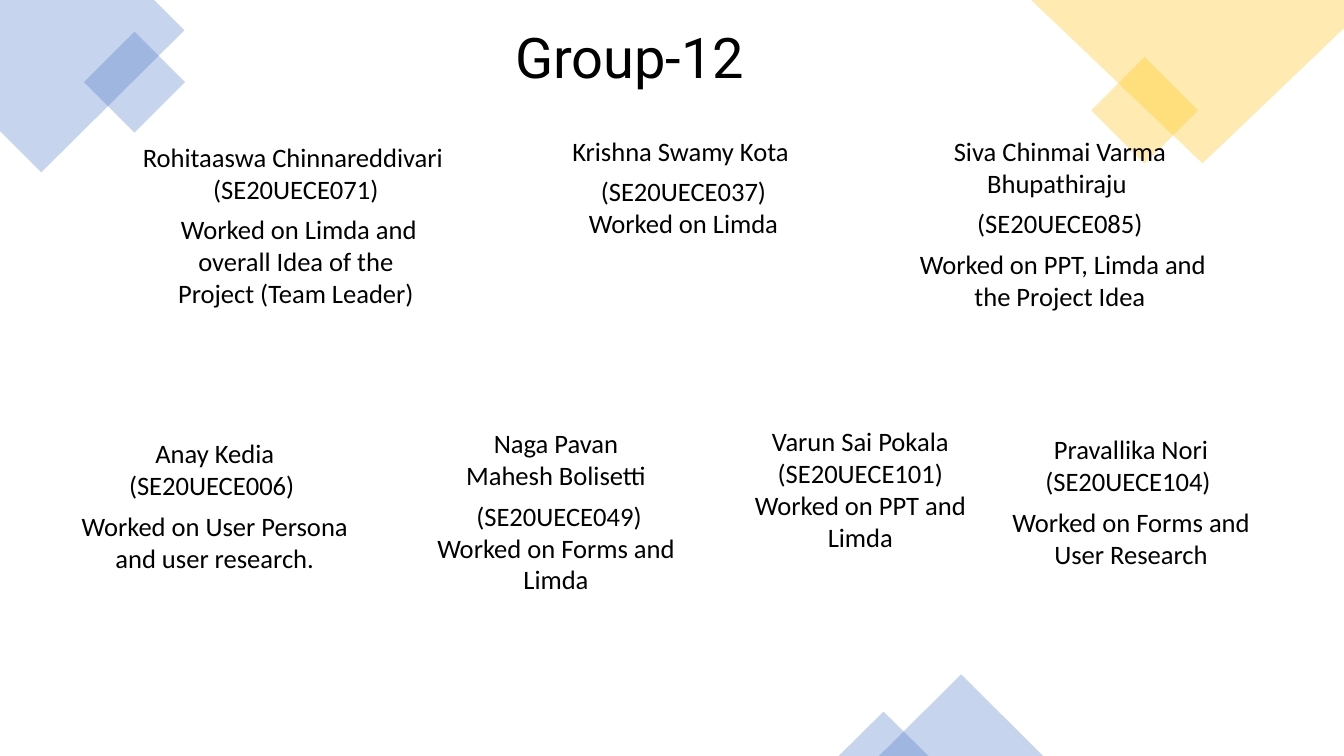
import pptx
import pptx.util
import pptx.dml.color
import pptx.enum.shapes
import pptx.enum.text
import lxml.etree

SHAPES = pptx.enum.shapes.MSO_SHAPE
THEME = {
    "blue": "4472C4", "yellow": "FFC000", "text": "000000", "alpha": 30,
    "title": {"name": "Roboto", "size": pptx.util.Pt(40)},
    "body": {"name": "Calibri", "size": pptx.util.Pt(19)},
}
COLUMNS, ROWS = 133.33, 75  # square grid cells, a tenth of an inch each
CELL = pptx.util.Inches(0.1)
NBSP = chr(160)  # space that keeps two words on one line

presentation = pptx.Presentation()
presentation.slide_width = round(COLUMNS * CELL)
presentation.slide_height = ROWS * CELL
slide = presentation.slides.add_slide(presentation.slide_layouts[5])


def tint(shape, color):
    """Fill a decoration with a see-through colour and no outline."""
    shape.shadow.inherit = False
    shape.line.fill.background()
    shape.fill.solid()
    shape.fill.fore_color.rgb = pptx.dml.color.RGBColor.from_string(THEME[color])
    color_node = shape.element.spPr.find(".//" + pptx.oxml.ns.qn("a:srgbClr"))
    alpha = lxml.etree.SubElement(color_node, pptx.oxml.ns.qn("a:alpha"))
    alpha.set("val", str(THEME["alpha"] * 1000))


def write(shape, box, paragraphs, font, space_after):
    """Place a text shape and fill it with centred paragraphs."""
    shape.left, shape.top, shape.width, shape.height = [round(v * CELL) for v in box]
    frame = shape.text_frame
    frame.text = "\n".join(paragraphs)
    frame_format = {
        "word_wrap": True,
        "vertical_anchor": pptx.enum.text.MSO_ANCHOR.TOP,
        "auto_size": pptx.enum.text.MSO_AUTO_SIZE.SHAPE_TO_FIT_TEXT,
    }
    for name, value in frame_format.items():
        setattr(frame, name, value)
    for paragraph in frame.paragraphs:
        paragraph.alignment = pptx.enum.text.PP_ALIGN.CENTER
        paragraph.space_before = pptx.util.Pt(0)
        paragraph.space_after = pptx.util.Pt(space_after)
        for run in paragraph.runs:
            for name, value in font.items():
                setattr(run.font, name, value)
            run.font.color.rgb = pptx.dml.color.RGBColor.from_string(THEME["text"])


# Large corner pieces, cut off by the slide's edges
corners = [
    ("blue", [(0, 0), (15.3, 0), (18.3, 3), (4.1, 17.1), (0, 13)]),
    ("yellow", [(102.3, 0), (COLUMNS, 0), (COLUMNS, 2.8), (119.3, 16.2)]),
]
for color, points in corners:
    outline = [(round(x * CELL), round(y * CELL)) for x, y in points]
    builder = slide.shapes.build_freeform(*outline[0])
    builder.add_line_segments(outline[1:], close=True)
    tint(builder.convert_to_shape(), color)

# Small squares on their corners, and triangles along the bottom edge
decorations = [
    (SHAPES.RECTANGLE, "blue", 315, (9.8, 4.6, 7.1, 7.1)),
    (SHAPES.RECTANGLE, "yellow", 315, (109.8, 7.2, 7.5, 7.5)),
    (SHAPES.ISOSCELES_TRIANGLE, "blue", 0, (87.2, ROWS - 8.1, 16.3, 8.1)),
    (SHAPES.ISOSCELES_TRIANGLE, "blue", 0, (83.2, ROWS - 4.4, 8.9, 4.4)),
]
for kind, color, rotation, box in decorations:
    shape = slide.shapes.add_shape(kind, *[round(v * CELL) for v in box])
    shape.rotation = rotation
    tint(shape, color)

# Group members, three above and four below
members = [
    ((13, 13.5, 32.7, 17.8),
     [f"Rohitaaswa{NBSP}Chinnareddivari{NBSP}(SE20UECE071)",
      f"{NBSP}Worked on Limda and overall Idea of the Project{NBSP}(Team Leader)"]),
    ((54.4, 12.9, 26.8, 11.4),
     [f"Krishna Swamy Kota{NBSP}", "(SE20UECE037) Worked on Limda"]),
    ((88.3, 12.9, 33.7, 18.7),
     [f"Siva Chinmai Varma Bhupathiraju{NBSP}", "(SE20UECE085)",
      f"{NBSP}Worked on PPT, Limda and the Project Idea"]),
    ((7, 42.9, 28.6, 14.6),
     [f"Anay Kedia (SE20UECE006){NBSP}", "Worked on User Persona and user research."]),
    ((41.7, 41.9, 26.9, 17.8),
     [f"Naga Pavan Mahesh{NBSP}Bolisetti",
      f"{NBSP}(SE20UECE049) Worked on Forms and Limda"]),
    ((72.8, 41.7, 25.1, 13.8),
     ["Varun Sai Pokala (SE20UECE101) Worked on PPT and Limda"]),
    ((98.1, 42.5, 28.2, 14.6),
     ["Pravallika Nori (SE20UECE104) ", "Worked on Forms and User Research"]),
]
for box, paragraphs in members:
    write(slide.shapes.add_textbox(0, 0, CELL, CELL), box, paragraphs, THEME["body"], 6)

# Title
write(slide.shapes.title, (29.3, 1.7, 67.7, 7.7), [f"Group-12{NBSP}"], THEME["title"], 0)

presentation.save("out.pptx")
